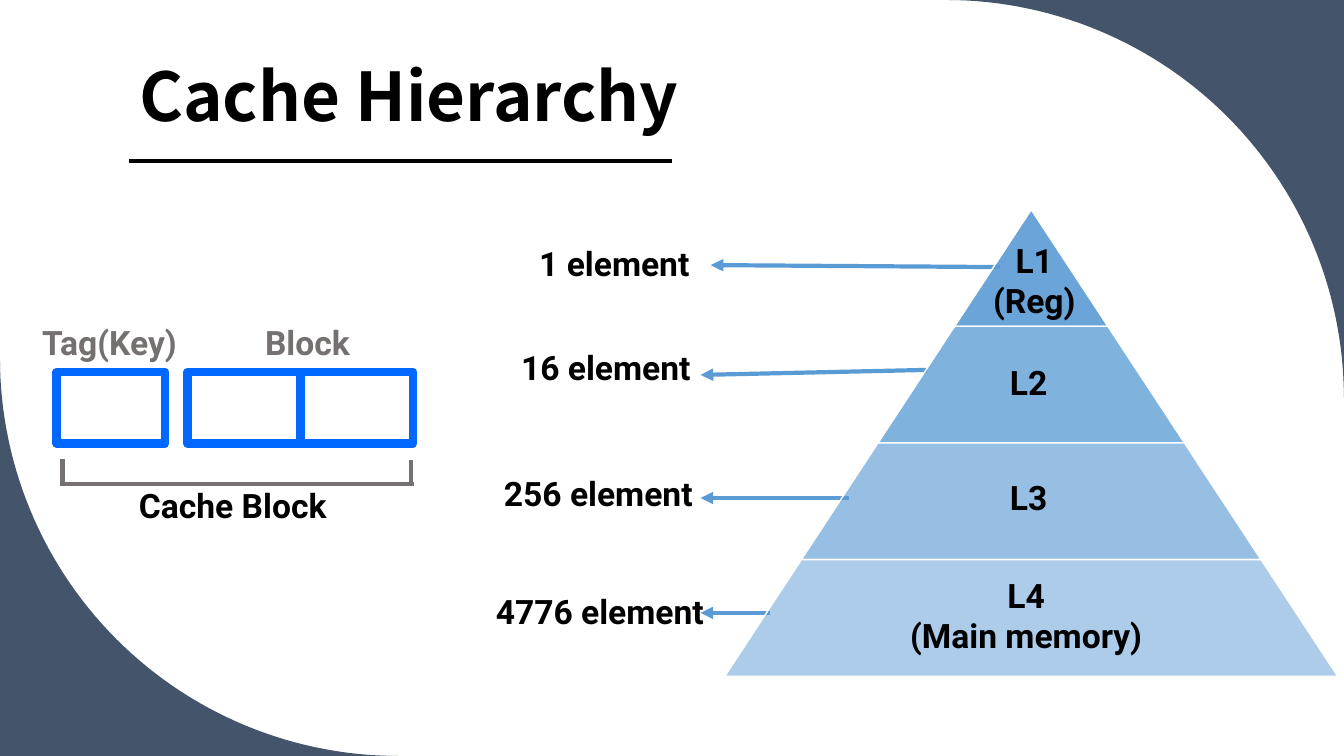
import math

import pptx
import pptx.dml.color
import pptx.enum.shapes
import pptx.enum.text
import pptx.oxml.ns
import pptx.util
from lxml import etree

SHAPES = pptx.enum.shapes.MSO_SHAPE
ALIGN = pptx.enum.text.PP_ALIGN
WIDTH = pptx.util.Inches(13.333)
HEIGHT = pptx.util.Inches(7.5)
BLACK, WHITE, GREY = "000000", "FFFFFF", "767171"
NAVY, SKY, BLUE = "44546A", "5B9BD5", "0068FF"


# Lengths are percentages of the slide's width and height
def across(share):
    return round(WIDTH * share / 100)


def down(share):
    return round(HEIGHT * share / 100)


def box(left, top, width, height):
    return across(left), down(top), across(width), down(height)


def color(hex_value):
    return pptx.dml.color.RGBColor.from_string(hex_value)


def add_xml(parent, tag, **attributes):
    return etree.SubElement(parent, pptx.oxml.ns.qn(tag), attributes)


def set_font(paragraph, name, size, hex_value):
    paragraph.font.name = name
    paragraph.font.size = pptx.util.Pt(size)
    paragraph.font.bold = True
    paragraph.font.color.rgb = color(hex_value)


def paint(shape, fill, line=None, points=1):
    shape.shadow.inherit = False
    shape.fill.solid()
    shape.fill.fore_color.rgb = color(fill)
    if line:
        shape.line.color.rgb = color(line)
        shape.line.width = pptx.util.Pt(points)
    else:
        shape.line.fill.background()


def add_corner(slide, mirrored):
    radius_x, radius_y, steps = 29.63, 52.67, 60
    points = [(100, 0)]
    for step in range(steps + 1):
        angle = math.pi / 2 * step / steps
        points.append((100 - radius_x * (1 - math.sin(angle)),
                       radius_y * (1 - math.cos(angle))))
    if mirrored:
        points = [(100 - x, 100 - y) for x, y in points]
    outline = [(across(x), down(y)) for x, y in points]
    builder = slide.shapes.build_freeform(*outline[0])
    builder.add_line_segments(outline[1:], close=True)
    paint(builder.convert_to_shape(), NAVY)


def add_line(slide, start, end, hex_value, arrow=False):
    line = slide.shapes.add_connector(
        pptx.enum.shapes.MSO_CONNECTOR.STRAIGHT,
        across(start[0]), down(start[1]), across(end[0]), down(end[1]))
    line.line.color.rgb = color(hex_value)
    line.line.width = pptx.util.Pt(3)
    if arrow:
        add_xml(line.line._get_or_add_ln(), "a:tailEnd", type="triangle")
    add_xml(line._element.spPr, "a:effectLst")


def add_label(slide, lines, left, top, width, hex_value=BLACK, align=ALIGN.LEFT):
    height = 6.67 if len(lines) == 1 else 12.13
    frame = slide.shapes.add_textbox(*box(left, top, width, height)).text_frame
    frame.word_wrap = True
    frame.auto_size = pptx.enum.text.MSO_AUTO_SIZE.SHAPE_TO_FIT_TEXT
    frame.text = "\n".join(lines)
    for paragraph in frame.paragraphs:
        paragraph.alignment = align
        set_font(paragraph, "Roboto", 24, hex_value)


def add_title(slide, text):
    title = slide.shapes.title
    title.left, title.top, title.width, title.height = box(9.6, 5.6, 80.18, 13.07)
    frame = title.text_frame
    frame.text = text
    frame.word_wrap = True
    frame.auto_size = pptx.enum.text.MSO_AUTO_SIZE.NONE
    frame.vertical_anchor = pptx.enum.text.MSO_ANCHOR.BOTTOM
    paragraph = frame.paragraphs[0]
    paragraph.alignment = ALIGN.LEFT
    paragraph.line_spacing = 0.9
    set_font(paragraph, "Noto Sans CJK KR", 48, BLACK)
    add_line(slide, (9.6, 21.33), (50.03, 21.33), BLACK)


def add_pyramid(slide):
    center, top, tier_height, slant = 76.73, 27.73, 15.43, 5.7
    for tier, opacity in enumerate((90, 77, 63, 50)):
        reach = slant * (tier + 1)
        trapezoid = slide.shapes.add_shape(SHAPES.TRAPEZOID, *box(
            center - reach, top + tier * tier_height, 2 * reach, tier_height))
        trapezoid.adjustments[0] = 0.657
        paint(trapezoid, SKY, WHITE)
        fill = trapezoid._element.spPr.find(".//" + pptx.oxml.ns.qn("a:srgbClr"))
        add_xml(fill, "a:alpha", val=str(opacity * 1000))

    add_label(slide, ["L1", "(Reg)"], 67.43, 31.07, 19.05, align=ALIGN.CENTER)
    add_label(slide, ["L2"], 74.4, 47.2, 6.15)
    add_label(slide, ["L3"], 74.4, 62.4, 6.15)
    add_label(slide, ["L4", "(Main memory)"], 65.55, 75.33, 21.6, align=ALIGN.CENTER)


def add_cache_block(slide):
    for left, width in ((4.2, 8.1), (13.95, 8.4), (22.35, 8.4)):
        cell = slide.shapes.add_shape(SHAPES.RECTANGLE, *box(left, 49.2, width, 9.47))
        paint(cell, WHITE, BLUE, 6)
    add_label(slide, ["Tag(Key)"], 2.4, 41.87, 14.63, GREY)
    add_label(slide, ["Block"], 18.98, 41.87, 8.4, GREY)
    add_label(slide, ["Cache Block"], 9.6, 63.47, 20.48)
    # Bracket under the cells
    for start, end in (((4.65, 60.67), (4.65, 64)),
                       ((30.6, 60.8), (30.6, 64.13)),
                       ((4.5, 64), (30.83, 64))):
        add_line(slide, start, end, GREY)


def main():
    presentation = pptx.Presentation()
    presentation.slide_width, presentation.slide_height = WIDTH, HEIGHT
    slide = presentation.slides.add_slide(presentation.slide_layouts[5])

    # Background corners and title
    add_corner(slide, mirrored=False)
    add_corner(slide, mirrored=True)
    add_title(slide, "Cache Hierarchy")

    # Arrows lie beneath the translucent pyramid
    for start, end in (((74.4, 35.33), (52.88, 35.07)),
                       ((69, 48.93), (52.13, 49.6)),
                       ((63.15, 65.87), (52.13, 65.87)),
                       ((57.3, 81.07), (52.13, 81.07))):
        add_line(slide, start, end, SKY, arrow=True)
    add_pyramid(slide)

    # Capacity of each level
    for count, left, top, width in ((1, 39.38, 31.47, 14.63),
                                    (16, 38.03, 45.2, 14.63),
                                    (256, 36.75, 61.87, 18.3),
                                    (4776, 36.15, 77.47, 18.3)):
        add_label(slide, [f"{count} element"], left, top, width)

    add_cache_block(slide)
    presentation.save("out.pptx")


if __name__ == "__main__":
    main()
